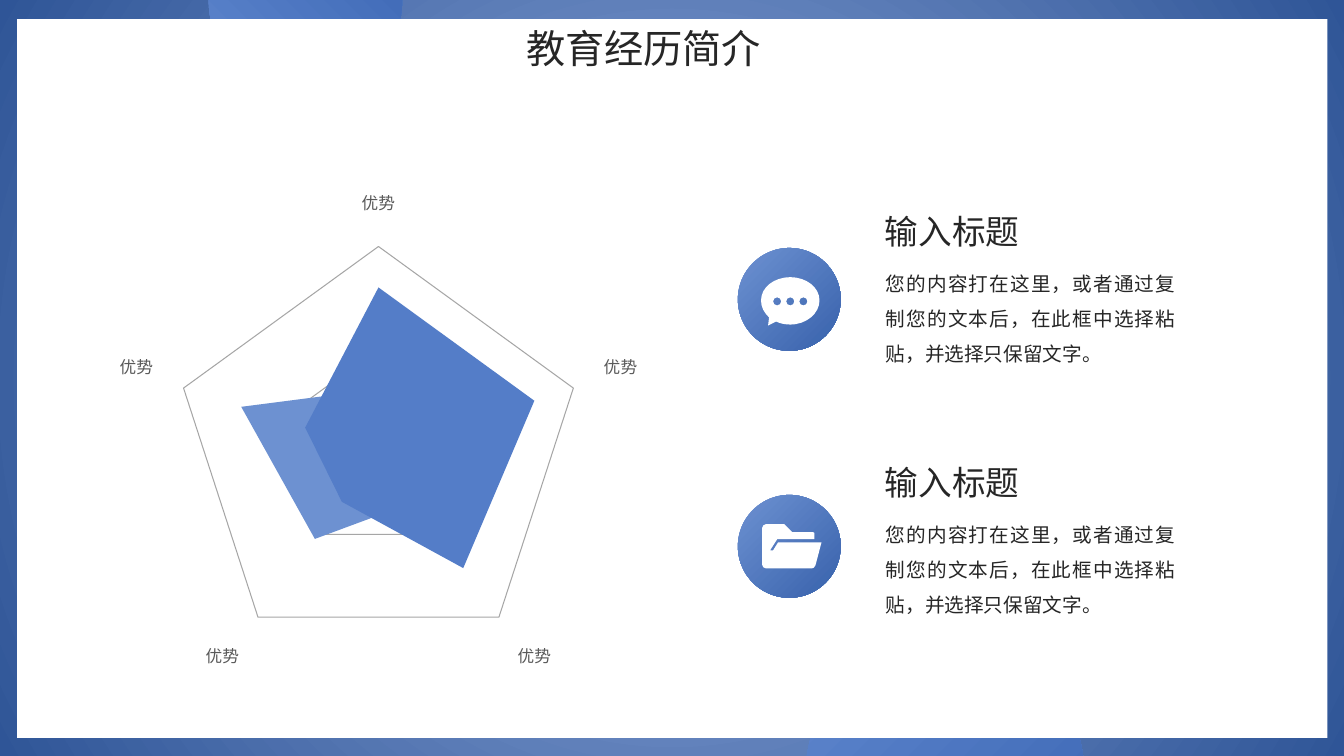
from dataclasses import dataclass

from lxml import etree
from pptx import Presentation
from pptx.chart.data import CategoryChartData
from pptx.dml.color import RGBColor
from pptx.enum.chart import XL_CHART_TYPE, XL_TICK_LABEL_POSITION, XL_TICK_MARK
from pptx.enum.shapes import MSO_SHAPE
from pptx.enum.text import MSO_ANCHOR, MSO_AUTO_SIZE, PP_ALIGN
from pptx.oxml import parse_xml
from pptx.oxml.ns import qn
from pptx.util import Inches, Pt

RADAR = XL_CHART_TYPE.RADAR_FILLED
NO_TICK = XL_TICK_MARK.NONE
LOW_LABELS = XL_TICK_LABEL_POSITION.LOW
RECTANGLE, OVAL = MSO_SHAPE.RECTANGLE, MSO_SHAPE.OVAL
JUSTIFY, TOP = PP_ALIGN.JUSTIFY, MSO_ANCHOR.TOP
GROW = MSO_AUTO_SIZE.SHAPE_TO_FIT_TEXT

SLIDE_WIDTH, SLIDE_HEIGHT = 40 / 3, 7.5
FONT = "Calibri"
COLORS = {
    "white": "FFFFFF", "text": "262626", "label": "595959",
    "axis": "D9D9D9", "grid": "A6A6A6",
    "frame_light": "8FAADC", "frame_dark": "2F5597",
    "spot_light": "6087CE", "spot_dark": "3864B2",
    "badge_light": "6D91D1", "badge_dark": "3862AC",
    "front": "547DC8", "back": "6D91D1",
}
CIRCLE_PATH = (
    '<a:path xmlns:a="http://schemas.openxmlformats.org/drawingml/2006/main" path="circle">'
    '<a:fillToRect l="50000" t="50000" r="50000" b="50000"/></a:path>'
)
# Two numbers are a line to a point, six are a Bezier curve
Outline = list[tuple[float, ...]]


@dataclass
class Spot:
    left: float
    top: float
    size: float
    rotation: float
    tone: str


@dataclass
class Topic:
    heading: str
    body: str
    text_top: float
    badge_top: float
    icon: list[Outline]


def color(name: str) -> RGBColor:
    return RGBColor.from_string(COLORS[name])


def add_plain(page, kind, left: float, top: float, width: float, height: float):
    shape = page.shapes.add_shape(kind, Inches(left), Inches(top), Inches(width), Inches(height))
    shape.shadow.inherit = False
    shape.line.fill.background()
    return shape


def fill_gradient(shape, tone: str) -> None:
    shape.fill.gradient()
    shape.fill.gradient_angle = 315
    for stop, position, shade in zip(shape.fill.gradient_stops, (0, 1), ("light", "dark")):
        stop.position = position
        stop.color.rgb = color(f"{tone}_{shade}")


def add_spot(page, spot: Spot) -> None:
    shape = add_plain(page, OVAL, spot.left, spot.top, spot.size, spot.size)
    shape.rotation = spot.rotation
    fill_gradient(shape, spot.tone)


def write_text(box, text: str, *, size: float, spacing: float = 1.0) -> None:
    frame = box.text_frame
    frame.word_wrap = True
    frame.auto_size = GROW
    frame.vertical_anchor = TOP
    para = frame.paragraphs[0]
    para.alignment = JUSTIFY
    para.line_spacing = spacing
    para.space_before = Pt(0)
    span = para.add_run()
    span.text = text
    span.font.name = FONT
    span.font.size = Pt(size)
    span.font.color.rgb = color("text")


def place(box, left: float, top: float, width: float, height: float) -> None:
    box.left, box.top, box.width, box.height = map(Inches, (left, top, width, height))


def dot(x: float, y: float, radius: float) -> Outline:
    pull = radius * 0.55
    left, right, above, below = x - radius, x + radius, y - radius, y + radius
    return [
        (x, below),
        (x - pull, below, left, y + pull, left, y),
        (left, y - pull, x - pull, above, x, above),
        (x + pull, above, right, y - pull, right, y),
        (right, y + pull, x + pull, below, x, below),
    ]


def add_icon(page, outlines: list[Outline]) -> None:
    builder = None
    for outline in outlines:
        start, *rest = [
            (Inches(part[i]), Inches(part[i + 1])) for part in outline for i in range(0, len(part), 2)
        ]
        if builder is None:
            builder = page.shapes.build_freeform(*start)
        else:
            builder.move_to(*start)
        builder.add_line_segments(rest, close=True)
    icon = builder.convert_to_shape()
    icon.shadow.inherit = False
    icon.line.fill.background()
    icon.fill.solid()
    icon.fill.fore_color.rgb = color("white")

    # Join the three points of each curve
    steps = icon._element.iter(qn("a:lnTo"))
    steps = iter(list(steps))
    for part in (part for outline in outlines for part in outline[1:]):
        step = next(steps)
        if len(part) == 6:
            step.tag = qn("a:cubicBezTo")
            for _ in range(2):
                extra = next(steps)
                step.append(extra[0])
                extra.getparent().remove(extra)


def add_topic(page, topic: Topic) -> None:
    body = page.shapes.add_textbox(*map(Inches, (8.69, topic.text_top + 0.49, 3.07, 1.16)))
    write_text(body, topic.body, size=14, spacing=1.5)
    heading = page.shapes.add_textbox(*map(Inches, (8.68, topic.text_top, 1.83, 0.5)))
    write_text(heading, topic.heading, size=24)
    add_spot(page, Spot(7.32, topic.badge_top, 1.02, 0, "badge"))
    add_icon(page, topic.icon)


def add_radar(page) -> None:
    data = CategoryChartData()
    data.categories = ["优势"] * 5
    data.add_series("Series 1", (100, 100, 88, 38, 47))
    data.add_series("Series 2", (38, 38, 38, 66, 88))
    chart = page.shapes.add_chart(RADAR, *map(Inches, (0.92, 1.78, 5.67, 4.95)), data).chart
    chart.has_legend = chart.has_title = False
    chart.font.name, chart.font.size = FONT, Pt(10)
    chart.plots[0].vary_by_categories = False
    for series, name in zip(chart.plots[0].series, ("front", "back")):
        series.format.fill.solid()
        series.format.fill.fore_color.rgb = color(name)
        series.format.line.fill.background()

    labels = chart.category_axis
    labels.has_major_gridlines = False
    labels.major_tick_mark = labels.minor_tick_mark = NO_TICK
    labels.tick_label_position = LOW_LABELS
    labels.tick_labels.font.name = FONT
    labels.tick_labels.font.size = Pt(11.9)
    labels.tick_labels.font.color.rgb = color("label")
    labels.format.line.color.rgb = color("axis")
    labels.format.line.width = Pt(0.75)

    values = chart.value_axis
    values.visible = False
    values.minimum_scale, values.maximum_scale, values.major_unit = 0, 125, 62.5
    values.has_major_gridlines = True
    values.major_gridlines.format.line.color.rgb = color("grid")
    values.major_gridlines.format.line.width = Pt(0.75)


BODY = "您的内容打在这里，或者通过复制您的文本后，在此框中选择粘贴，并选择只保留文字。"
BUBBLE = [
    [
        (7.84, 2.75), (7.68, 2.75, 7.55, 2.85, 7.55, 2.98), (7.55, 3.05, 7.58, 3.1, 7.63, 3.15),
        (7.62, 3.23), (7.7, 3.19), (7.74, 3.21, 7.79, 3.22, 7.84, 3.22),
        (8, 3.22, 8.13, 3.11, 8.13, 2.98), (8.13, 2.85, 8, 2.75, 7.84, 2.75),
    ],
    *[dot(7.84 + shift, 2.99, 0.04) for shift in (-0.13, 0, 0.13)],
]
FOLDER = [[
    (7.72, 5.38), (8.15, 5.38), (8.09, 5.61), (8.08, 5.63, 8.07, 5.64, 8.05, 5.64),
    (7.6, 5.64), (7.58, 5.64, 7.56, 5.62, 7.56, 5.6),
    (7.56, 5.24), (7.56, 5.22, 7.58, 5.2, 7.6, 5.2),
    (7.78, 5.2), (7.86, 5.28), (8.06, 5.28), (8.07, 5.28, 8.08, 5.28, 8.08, 5.29),
    (8.08, 5.35), (7.71, 5.35), (7.64, 5.46), (7.67, 5.46),
]]
SPOTS = [Spot(2.07, -0.96, 1.92, 270, "spot"), Spot(7.99, 6.31, 2.77, 0, "spot")]
TOPICS = [
    Topic("输入标题", BODY, 2.04, 2.46, BUBBLE),
    Topic("输入标题", BODY, 4.53, 4.91, FOLDER),
]


def main() -> None:
    deck = Presentation()
    deck.slide_width, deck.slide_height = Inches(SLIDE_WIDTH), Inches(SLIDE_HEIGHT)
    page = deck.slides.add_slide(deck.slide_layouts[5])

    # Blue frame with a white panel
    frame = add_plain(page, RECTANGLE, 0, 0, SLIDE_WIDTH, SLIDE_HEIGHT)
    fill_gradient(frame, "frame")
    linear = frame._element.spPr.find(".//" + qn("a:lin"))
    linear.getparent().replace(linear, parse_xml(etree.tostring(etree.fromstring(CIRCLE_PATH))))
    for spot in SPOTS:
        add_spot(page, spot)
    panel = add_plain(page, RECTANGLE, 0.17, 0.19, 13, 7.13)
    panel.fill.solid()
    panel.fill.fore_color.rgb = color("white")

    # Title, raised above the panel
    title = page.shapes.title
    place(title, 5.12, 0.19, 3.07, 0.57)
    write_text(title, "教育经历简介", size=28)
    panel._element.addnext(title._element)

    # Radar chart and topics
    add_radar(page)
    for topic in TOPICS:
        add_topic(page, topic)
    deck.save("out.pptx")


if __name__ == "__main__":
    main()
